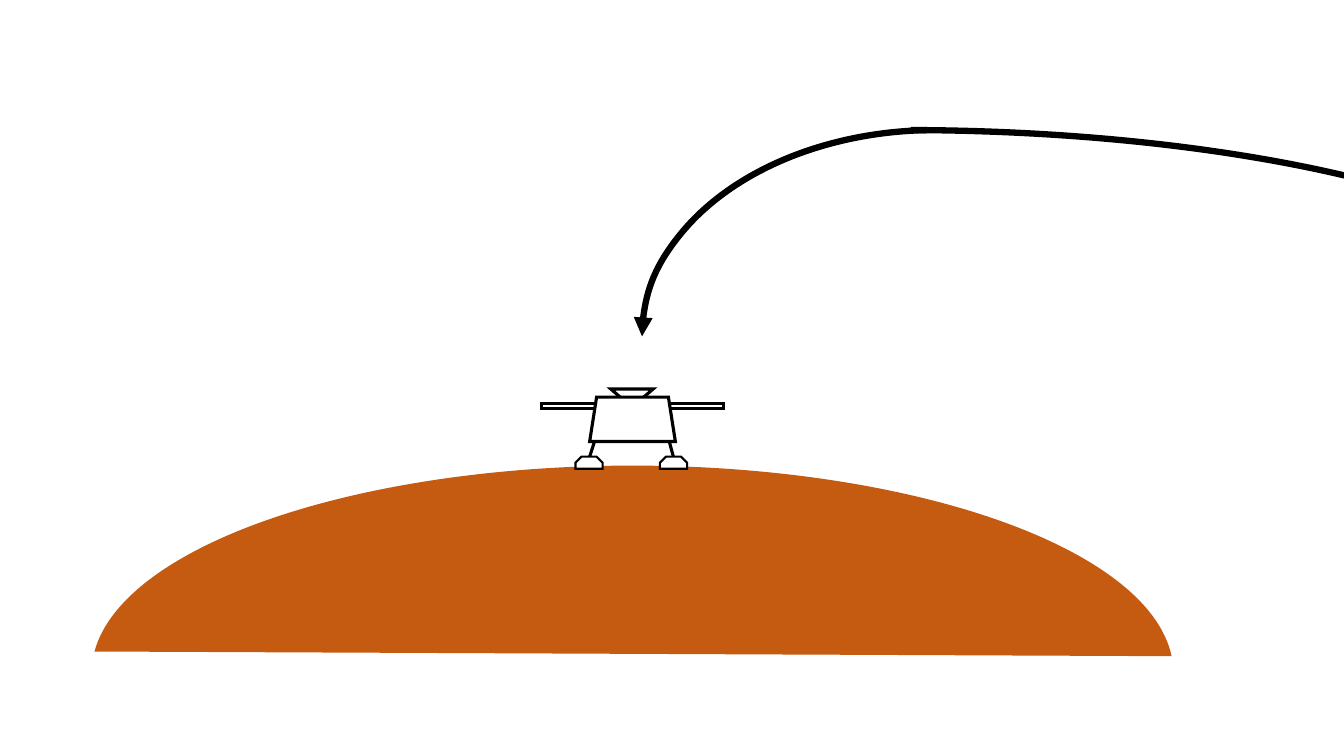
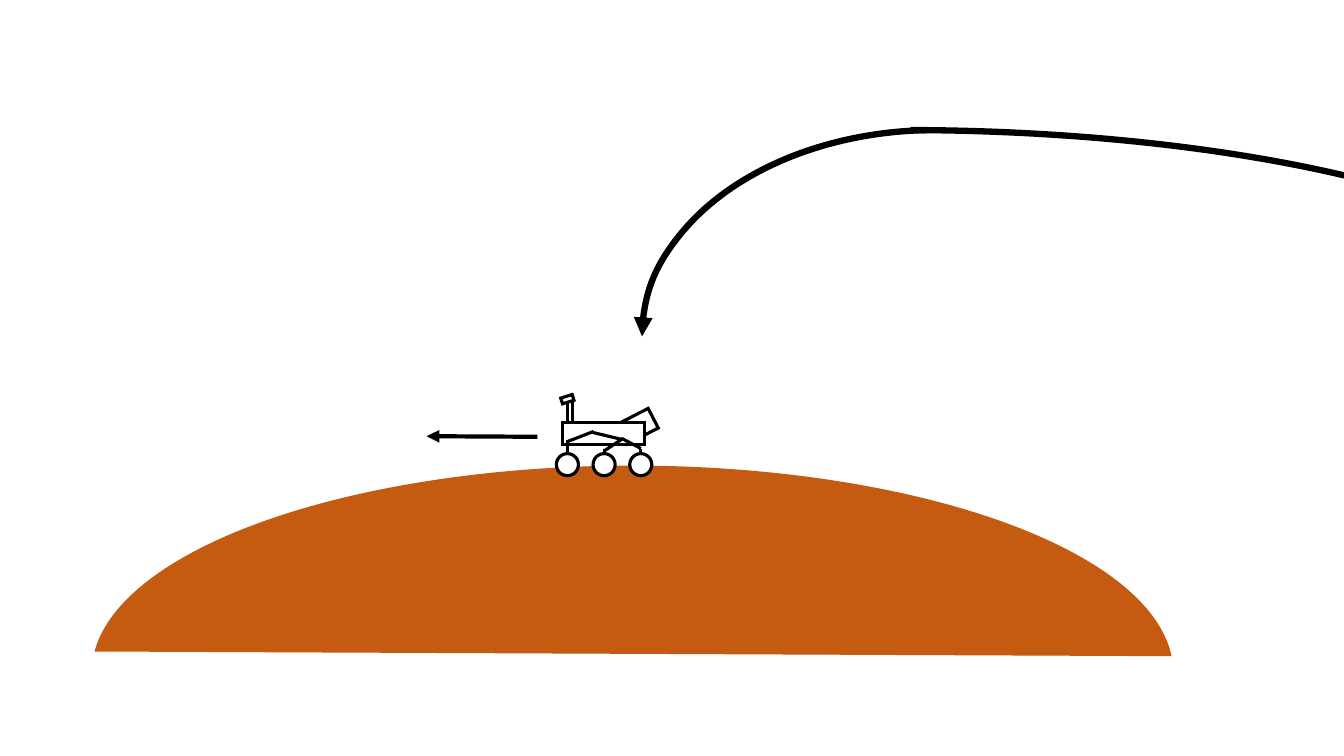
"""Build two slides: a lander touching down on a hill, then a rover driving off."""
from lxml.etree import SubElement
from pptx import Presentation
from pptx.dml.color import RGBColor
from pptx.enum.shapes import MSO_CONNECTOR, MSO_SHAPE as Preset
from pptx.oxml.ns import qn
from pptx.util import Pt

BLACK = RGBColor(0x00, 0x00, 0x00)
WHITE = RGBColor(0xFF, 0xFF, 0xFF)
RUST = RGBColor(0xC5, 0x5A, 0x11)

FINE, NORMAL, ARROW, TRAJECTORY = 1.5, 2.25, 3, 4.5
DEGREE = 0.6
GROUND = (65.5, 332.6, 772.6, 295.9)


def style_line(shape, weight, arrow_end=None):
    """Give a shape or connector a black mitred line, with an arrowhead if asked."""
    shape.line.color.rgb = BLACK
    shape.line.width = Pt(weight)
    outline = shape.line._get_or_add_ln()
    SubElement(outline, qn("a:miter"), lim="800000")
    if arrow_end:
        SubElement(outline, qn(f"a:{arrow_end}"), type="triangle")


def add_part(page, preset, bounds, fill=WHITE, weight=NORMAL,
             rotation=0, adjust=(), arrow_end=None):
    """Add a preset shape; a fill of None or a weight of 0 leaves that off."""
    part = page.shapes.add_shape(preset, *map(Pt, bounds))
    part.shadow.inherit = False
    part.rotation = rotation
    for index, value in enumerate(adjust):
        part.adjustments[index] = value
    if fill is None:
        part.fill.background()
    else:
        part.fill.solid()
        part.fill.fore_color.rgb = fill
    if weight:
        style_line(part, weight, arrow_end)
    else:
        part.line.fill.background()
    return part


def add_line(page, start, end, weight=NORMAL, arrow_end=None):
    """Add a straight black connector between two points."""
    line = page.shapes.add_connector(
        MSO_CONNECTOR.STRAIGHT, *map(Pt, (*start, *end)))
    style_line(line, weight, arrow_end)
    SubElement(line._element.spPr, qn("a:effectLst"))
    return line


def add_arc(page, bounds, first, last, arrow_end=None):
    """Add a stretch of the trajectory, clockwise between two angles in degrees."""
    return add_part(page, Preset.ARC, bounds, fill=None, weight=TRAJECTORY,
                    adjust=(first * DEGREE, last * DEGREE), arrow_end=arrow_end)


def add_scene(deck):
    """Add a page with the hill and the landing trajectory."""
    page = deck.slides.add_slide(deck.slide_layouts[6])
    add_part(page, Preset.CHORD, GROUND, fill=RUST, weight=0,
             adjust=(182.26 * DEGREE, 358.24 * DEGREE))
    add_arc(page, (142.6, 92.9, 1005.8, 294.5), 271.91, 352.18)
    add_arc(page, (458.6, 92.9, 419, 294.5), 179.96, 267.47, "headEnd")
    return page


def draw_lander(page):
    """Draw the lander with its legs, antenna, solar panels and feet."""
    add_line(page, (473.8, 299.5), (481, 326.2))
    add_line(page, (433.4, 288), (421.2, 326.2))
    add_part(page, Preset.ISOSCELES_TRIANGLE, (436.3, 277.9, 30.2, 13),
             rotation=180)
    add_part(page, Preset.RECTANGLE, (386.6, 288, 130.3, 3.6))
    for foot_left in (411.1, 471.4):
        add_part(page, Preset.SNIP_2_SAME_RECTANGLE,
                 (foot_left, 326.2, 19.4, 8.6), weight=FINE, adjust=(0.5, 0))
    add_part(page, Preset.TRAPEZOID, (421.2, 283.7, 61.2, 31.7),
             adjust=(0.156,))


def draw_rover(page):
    """Draw the rover with its mast, generator, body, wheels and suspension."""
    add_part(page, Preset.RECTANGLE, (405.4, 286.6, 3.6, 23.8))
    add_part(page, Preset.RECTANGLE, (442.8, 296.6, 25.2, 15.8), rotation=332.7)
    add_part(page, Preset.RECTANGLE, (401.8, 301.7, 58.3, 15.8))

    wheel_size, wheel_top, wheel_pitch = 15.8, 324, 26.2
    for index, strut_top in enumerate((314.6, 320.4, 320.4)):
        left = 397.4 + index * wheel_pitch
        center = left + wheel_size / 2
        add_part(page, Preset.OVAL, (left, wheel_top, wheel_size, wheel_size))
        add_line(page, (center, wheel_top), (center, strut_top))

    suspension = [
        ((457.8, 320.4), (444.2, 313.2)),
        ((444.2, 313.9), (423.4, 308.9)),
        ((445, 313.2), (432, 321.8)),
        ((424, 308.2), (405.4, 315.4)),
    ]
    for start, end in suspension:
        add_line(page, start, end)
    add_part(page, Preset.RECTANGLE, (401, 283, 8.6, 4.3), rotation=342.5)


def main():
    """Build and save the deck."""
    deck = Presentation()
    deck.slide_width, deck.slide_height = Pt(960), Pt(540)
    draw_lander(add_scene(deck))
    rover_page = add_scene(deck)
    draw_rover(rover_page)
    add_line(rover_page, (383.8, 312), (304.8, 311.6), ARROW, "tailEnd")
    deck.save("out.pptx")


if __name__ == "__main__":
    main()
